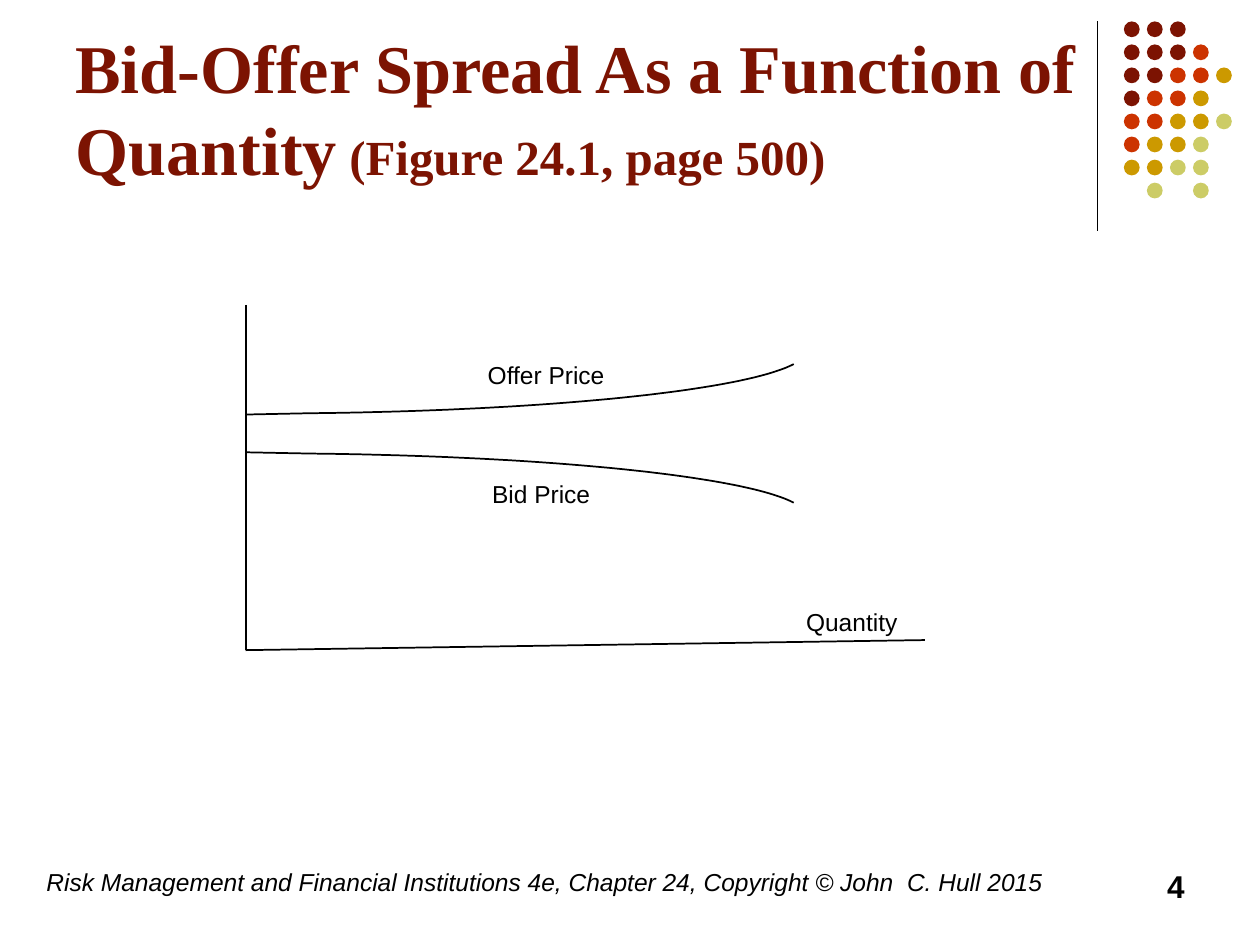
from dataclasses import dataclass
from typing import NamedTuple

from lxml import etree
from pptx import Presentation
from pptx.dml.color import RGBColor
from pptx.enum.shapes import MSO_CONNECTOR, MSO_SHAPE
from pptx.enum.text import MSO_ANCHOR, PP_ALIGN
from pptx.oxml.ns import qn
from pptx.util import Inches, Pt

STRAIGHT = MSO_CONNECTOR.STRAIGHT
OVAL = MSO_SHAPE.OVAL
TOP, BOTTOM = MSO_ANCHOR.TOP, MSO_ANCHOR.BOTTOM
LEFT, CENTER, RIGHT = PP_ALIGN.LEFT, PP_ALIGN.CENTER, PP_ALIGN.RIGHT

COLUMNS, ROWS = 20, 15
CELL = Inches(0.5)


@dataclass(frozen=True)
class Theme:
    ink: str = "000000"
    maroon: str = "7C1302"
    red: str = "CC3300"
    gold: str = "CC9900"
    olive: str = "CCCC66"
    title_font: str = "Times New Roman"
    body_font: str = "Arial"
    title: int = 39
    subtitle: int = 28
    number: int = 18
    body: int = 14
    rule: float = 0.75
    stroke: float = 1


THEME = Theme()


class Point(NamedTuple):
    col: float
    row: float


class Box(NamedTuple):
    col: float
    row: float
    cols: float
    rows: float


class Run(NamedTuple):
    text: str
    size: int = THEME.body
    font: str = THEME.body_font
    color: str = THEME.ink
    bold: bool = False
    italic: bool = False


class Label(NamedTuple):
    box: Box
    runs: tuple[Run, ...]
    align: PP_ALIGN = CENTER
    anchor: MSO_ANCHOR = TOP


class Line(NamedTuple):
    start: Point
    end: Point
    width: float = THEME.stroke


DOT_ROWS = ("MMM", "MMMR", "MMRRG", "MRRG", "RRGGO", "RGGO", "GGOO", " O O")
DOT_COLORS = {"M": THEME.maroon, "R": THEME.red, "G": THEME.gold, "O": THEME.olive}
DOT_ORIGIN = Point(17.84, 0.34)
DOT_PITCH = 2.56 / 7
DOT_SIZE = 0.25

ORIGIN = Point(3.9, 10.32)
LINES = (
    Line(Point(17.42, 0.34), Point(17.42, 3.66), THEME.rule),
    Line(Point(ORIGIN.col, 4.84), ORIGIN),
    Line(ORIGIN, Point(14.68, 10.16)),
)

MID_PRICE = 6.88
CURVE_START = Point(3.92, 0.3)
CURVE_CONTROLS = (Point(4.92, 0.32), Point(8.7, 0.36), Point(11.8, 0.68), Point(12.6, 1.1))
CURVE_STEPS = 40

LABELS = (
    Label(
        Box(1, 0.26, 16.5, 2.84),
        (
            Run("Bid-Offer Spread As a Function of Quantity", THEME.title,
                THEME.title_font, THEME.maroon, bold=True),
            Run(" (Figure 24.1, page 500)", THEME.subtitle,
                THEME.title_font, THEME.maroon, bold=True),
        ),
        LEFT,
        BOTTOM,
    ),
    Label(
        Box(0.54, 13.66, 16.54, 1),
        (Run("Risk Management and Financial Institutions 4e, Chapter 24, "
             "Copyright © John  C. Hull 2015", italic=True),),
        LEFT,
    ),
    Label(Box(7.5, 5.62, 2.34, 0.68), (Run("Offer Price"),)),
    Label(Box(7.5, 7.5, 2.18, 0.68), (Run("Bid Price"),)),
    Label(Box(12.5, 9.54, 2.04, 0.68), (Run("Quantity"),)),
    Label(Box(14.34, 13.66, 4.66, 1), (Run("4", THEME.number, bold=True),), RIGHT),
)


def emu(*cells: float) -> list[int]:
    return [round(c * CELL) for c in cells]


def rgb(color: str) -> RGBColor:
    return RGBColor.from_string(color)


def draw_line(s, line: Line) -> None:
    c = s.shapes.add_connector(STRAIGHT, *emu(*line.start, *line.end))
    c.line.color.rgb = rgb(THEME.ink)
    c.line.width = Pt(line.width)
    etree.SubElement(c._element.spPr, qn("a:effectLst"))


def draw_dots(s) -> None:
    for row, codes in enumerate(DOT_ROWS):
        for col, code in enumerate(codes):
            if code not in DOT_COLORS:
                continue
            box = Box(DOT_ORIGIN.col + col * DOT_PITCH, DOT_ORIGIN.row + row * DOT_PITCH,
                      DOT_SIZE, DOT_SIZE)
            sp = s.shapes.add_shape(OVAL, *emu(*box))
            sp.shadow.inherit = False
            sp.fill.solid()
            sp.fill.fore_color.rgb = rgb(DOT_COLORS[code])
            sp.line.fill.background()


def bezier(t: float) -> Point:
    u = 1 - t
    weights = (u**3, 3 * u * u * t, 3 * u * t * t, t**3)
    return Point(*(sum(w * v for w, v in zip(weights, axis)) for axis in zip(*CURVE_CONTROLS)))


def draw_price_curve(s, side: int) -> None:
    points = [CURVE_START] + [bezier(i / CURVE_STEPS) for i in range(CURVE_STEPS + 1)]
    start, *rest = [emu(p.col, MID_PRICE + side * p.row) for p in points]
    builder = s.shapes.build_freeform(*start)
    builder.add_line_segments(rest, close=False)
    sp = builder.convert_to_shape()
    sp.shadow.inherit = False
    sp.fill.background()
    sp.line.color.rgb = rgb(THEME.ink)
    sp.line.width = Pt(THEME.stroke)


def draw_label(s, label: Label) -> None:
    tf = s.shapes.add_textbox(*emu(*label.box)).text_frame
    tf.word_wrap = True
    tf.vertical_anchor = label.anchor
    p = tf.paragraphs[0]
    p.alignment = label.align
    for run in label.runs:
        r = p.add_run()
        r.text = run.text
        r.font.name = run.font
        r.font.size = Pt(run.size)
        r.font.bold = run.bold
        r.font.italic = run.italic
        r.font.color.rgb = rgb(run.color)


def main() -> None:
    prs = Presentation()
    prs.slide_width, prs.slide_height = emu(COLUMNS, ROWS)
    s = prs.slides.add_slide(prs.slide_layouts[6])
    draw_dots(s)
    for line in LINES:
        draw_line(s, line)
    for side in (1, -1):
        draw_price_curve(s, side)
    for label in LABELS:
        draw_label(s, label)
    prs.save("out.pptx")


if __name__ == "__main__":
    main()
